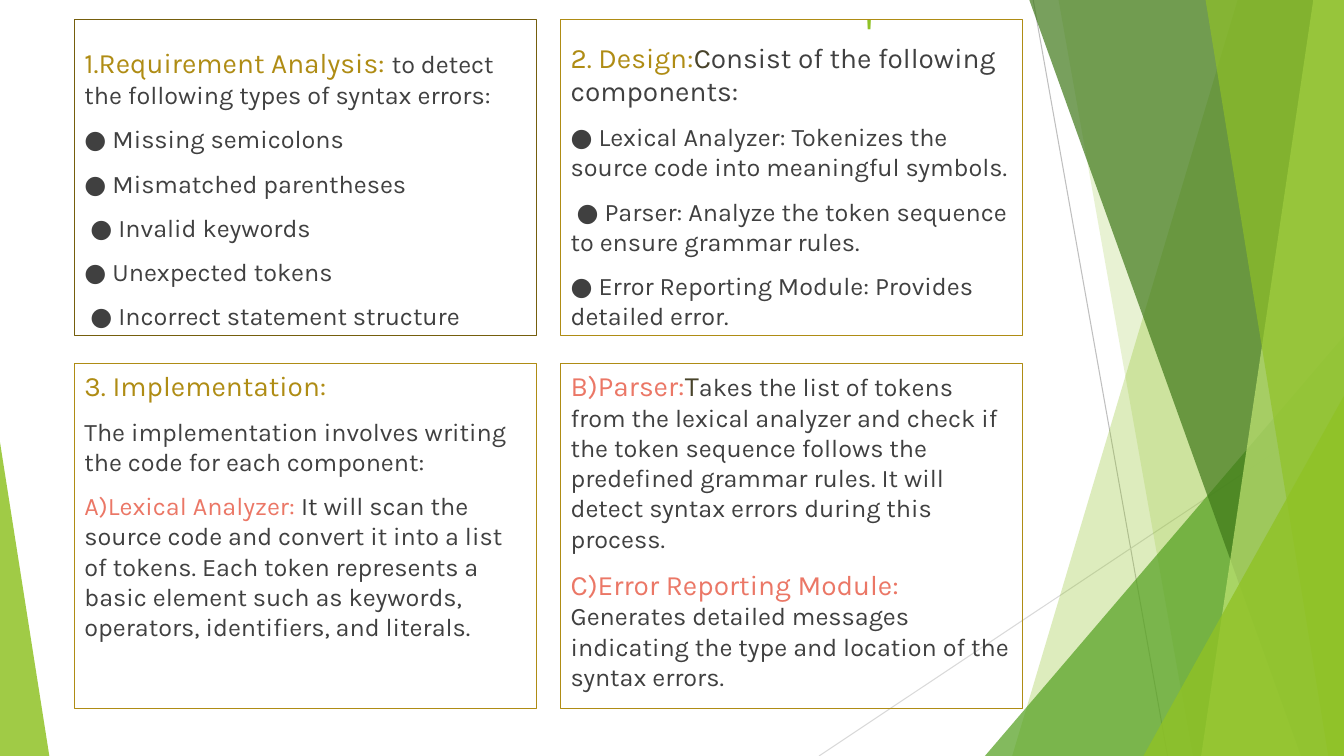
from pptx import Presentation
from pptx.dml.color import RGBColor
from pptx.enum.shapes import MSO_CONNECTOR as CONN, MSO_SHAPE as SHAPE
from pptx.enum.text import MSO_ANCHOR as ANCHOR
from pptx.oxml.xmlchemy import OxmlElement as Element
from pptx.util import Pt

PX = 9525
W, H = 1280, 720
FONT = "Karla"
GREEN, GOLD, CORAL, INK, OLIVE = "90C226", "AF8C14", "EB7766", "404040", "48432A"


def rgb(color):
    """Turn a hex string into a colour."""
    return RGBColor.from_string(color)


class Deck:
    """Draws styled elements on the current slide."""

    def __init__(self):
        self.prs = Presentation()
        self.prs.slide_width, self.prs.slide_height = W * PX, H * PX
        self.s = self.prs.slides.add_slide(self.prs.slide_layouts[6])

    def line(self, x1, y1, x2, y2, color):
        """Draw a thin straight line."""
        c = self.s.shapes.add_connector(CONN.STRAIGHT, *(v * PX for v in (x1, y1, x2, y2)))
        c.line.color.rgb, c.line.width = rgb(color), Pt(0.75)
        c._element.spPr.append(Element("a:effectLst"))

    def paint(self, sp, color, opacity):
        """Give a shape a translucent fill and no outline."""
        sp.shadow.inherit = False
        sp.line.fill.background()
        sp.fill.solid()
        sp.fill.fore_color.rgb = rgb(color)
        alpha = Element("a:alpha")
        alpha.set("val", str(opacity * 1000))
        sp._element.spPr.find(".//{*}srgbClr").append(alpha)

    def blade(self, top, bottom, color, opacity):
        """Draw a band from a slanted left edge to the right slide edge."""
        fb = self.s.shapes.build_freeform(top, -1, PX)
        fb.add_line_segments([(W, -1), (W, H), (bottom, H)], close=True)
        self.paint(fb.convert_to_shape(), color, opacity)

    def triangle(self, x, y, w, h, apex, color, opacity):
        """Draw a right-angled triangle with its apex at one side."""
        sp = self.s.shapes.add_shape(SHAPE.ISOSCELES_TRIANGLE, *(v * PX for v in (x, y, w, h)))
        sp.adjustments[0] = apex
        self.paint(sp, color, opacity)

    def text(self, x, y, w, h, paragraphs, border=None, anchor=ANCHOR.TOP, before=10):
        """Write paragraphs of (text, size, colour) runs in a box."""
        sp = self.s.shapes.add_textbox(*(v * PX for v in (x, y, w, h)))
        if border:
            sp.line.color.rgb, sp.line.width = rgb(border), Pt(0.75)
        tf = sp.text_frame
        tf.word_wrap, tf.vertical_anchor = True, anchor
        for i, runs in enumerate(paragraphs):
            p = tf.paragraphs[0] if i == 0 else tf.add_paragraph()
            p.space_before = Pt(before)
            for text, size, color in runs:
                r = p.add_run()
                r.text = text
                r.font.name, r.font.size = FONT, Pt(size)
                r.font.color.rgb = rgb(color)


def body(*texts):
    """Make plain body paragraphs."""
    return [[(text, 18, INK)] for text in texts]


def main():
    """Build and save the slide."""
    deck = Deck()
    deck.line(984, 0, 1112, H, "BFBFBF")
    deck.line(W, 387, 780, H, "D9D9D9")
    deck.blade(1179, 964, GREEN, 30)
    deck.blade(1008, 1136, GREEN, 20)
    deck.triangle(938, 320, 342, 400, 1, "54A021", 72)
    deck.blade(980, 1239, "3F7819", 70)
    deck.blade(1251, 1144, "C0E474", 70)
    deck.blade(1148, 1265, GREEN, 65)
    deck.triangle(1089, 377, 191, 343, 1, GREEN, 80)
    deck.triangle(0, 421, 47, 299, 0, GREEN, 85)
    deck.text(816, 0, 170, 10, [[("'", 32.4, GREEN)]], before=0)

    requirements = [
        [("1.Requirement Analysis: ", 20, GOLD),
         ("to detect the following types of syntax errors:", 18, INK)],
        *body("● Missing semicolons", "● Mismatched parentheses", " ● Invalid keywords",
              "● Unexpected tokens", " ● Incorrect statement structure"),
    ]
    design = [
        [("2. Design:", 20, GOLD), ("C", 20, OLIVE),
         ("onsist of the following components:", 20, INK)],
        *body("● Lexical Analyzer: Tokenizes the source code into meaningful symbols.",
              " ● Parser: Analyze the token sequence to ensure grammar rules.",
              "● Error Reporting Module: Provides detailed error."),
    ]
    implementation = [
        [("3. Implementation:", 20, GOLD)],
        *body("The implementation involves writing the code for each component:"),
        [("A)Lexical Analyzer: ", 18, CORAL), ("It ", 18, "3B3B3B"),
         ("will scan the source code and convert it into a list of tokens. Each token represents "
          "a basic element such as keywords, operators, identifiers, and literals.", 18, INK)],
    ]
    modules = [
        [("B)Parser:", 20, CORAL), ("T", 20, OLIVE),
         ("akes the list of tokens from the lexical analyzer and check if the token sequence "
          "follows the predefined grammar rules. It will detect syntax errors during this process.",
          18, INK)],
        [("C)Error Reporting Module: ", 20, CORAL),
         ("Generates detailed messages indicating the type and location of the syntax errors.",
          18, INK)],
    ]
    left, right, width = 71, 534, 440
    upper, lower = (19, 301), (346, 329)
    for x, (y, h), paragraphs, border, anchor in (
        (left, upper, requirements, "755E0D", ANCHOR.BOTTOM),
        (left, lower, implementation, GOLD, ANCHOR.TOP),
        (right, upper, design, GOLD, ANCHOR.BOTTOM),
        (right, lower, modules, GOLD, ANCHOR.TOP),
    ):
        deck.text(x, y, width, h, paragraphs, border, anchor)
    deck.prs.save("out.pptx")


if __name__ == "__main__":
    main()
